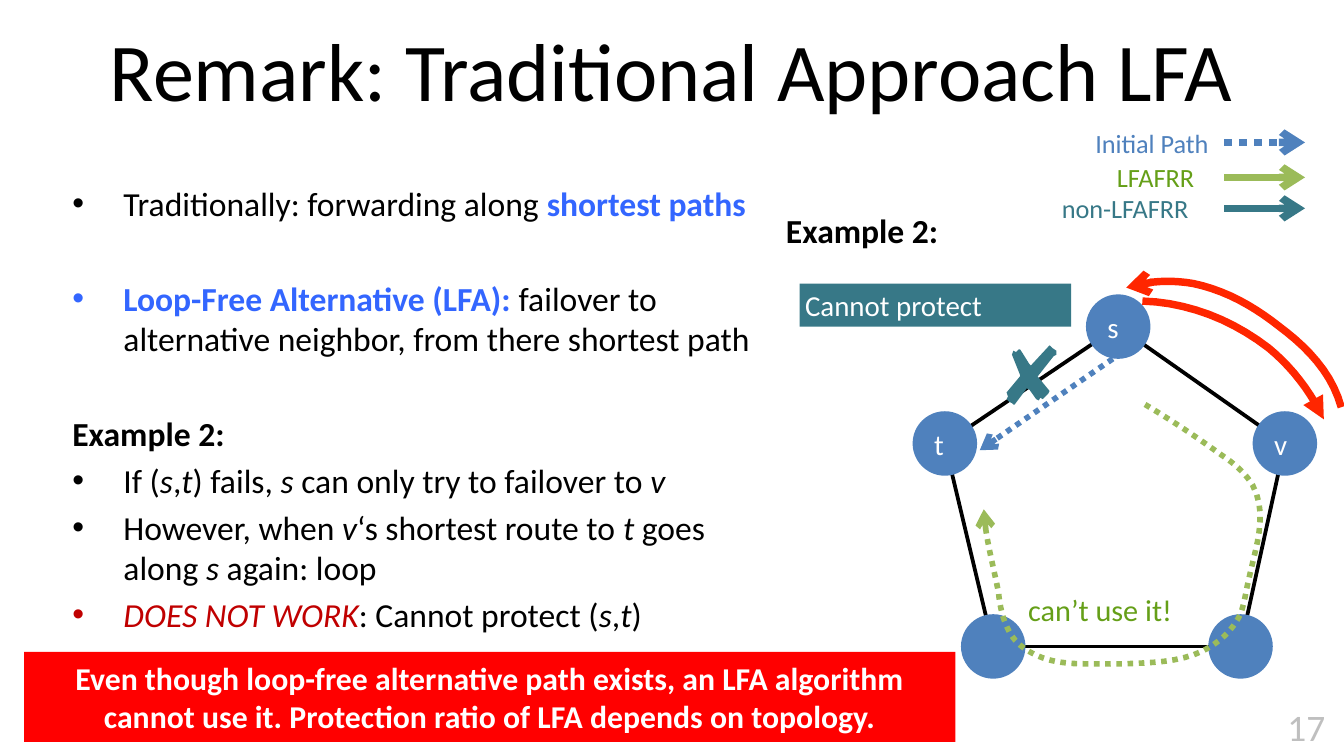
import pptx
import pptx.dml.color
import pptx.enum.dml
import pptx.enum.shapes
import pptx.enum.text
import pptx.oxml
import pptx.oxml.ns
import pptx.util
from pptx.util import Inches

ANCHOR = pptx.enum.text.MSO_ANCHOR
ALIGN = pptx.enum.text.PP_ALIGN
SHAPE = pptx.enum.shapes.MSO_SHAPE
BLACK, WHITE, BLUE, TEAL = "000000", "FFFFFF", "4F81BD", "377887"
GREEN, DARK_GREEN, RED = "9BBB59", "659F18", "FF2600"
LINK_BLUE, DARK_RED = "3366FF", "C00000"
NODE_SIZE = 0.48
NODES = {"s": (8.32, 2.43), "v": (9.56, 3.3), "right": (9.23, 4.81),
         "left": (7.39, 4.81), "t": (7.03, 3.3)}
FORWARD_LOOP = [(8.5, 2.24), (8.84, 2.25), (9.17, 2.38), (9.44, 2.59),
                (9.61, 2.73), (9.75, 2.91), (9.85, 3.12)]
RETURN_LOOP = [(8.38, 2.14), (8.54, 2.09), (8.71, 2.08), (8.88, 2.11),
               (9.12, 2.16), (9.33, 2.28), (9.52, 2.43),
               (9.72, 2.58), (9.91, 2.77), (9.98, 3.03)]
DETOUR = [(8.52, 3.01), (8.72, 3.13), (8.9, 3.25), (9.08, 3.38),
          (9.17, 3.44), (9.26, 3.51), (9.32, 3.61),
          (9.44, 3.83), (9.34, 4.08), (9.29, 4.32),
          (9.27, 4.4), (9.26, 4.49), (9.23, 4.57),
          (9.19, 4.65), (9.14, 4.71), (9.08, 4.76),
          (8.88, 4.93), (8.61, 4.93), (8.36, 4.94),
          (8.27, 4.94), (8.18, 4.94), (8.08, 4.94),
          (7.96, 4.94), (7.83, 4.93), (7.72, 4.88),
          (7.63, 4.84), (7.55, 4.78), (7.51, 4.7),
          (7.46, 4.61), (7.44, 4.51), (7.43, 4.41),
          (7.39, 4.2), (7.33, 4), (7.32, 3.79)]
CROSS = [(7.81, 2.57), (7.8, 2.58), (7.68, 2.71), (7.67, 2.72), (7.66, 2.71),
         (7.61, 2.63), (7.59, 2.6), (7.58, 2.6), (7.56, 2.62), (7.54, 2.61),
         (7.53, 2.64), (7.59, 2.79), (7.59, 2.8), (7.49, 2.92), (7.5, 2.95),
         (7.49, 2.97), (7.51, 2.99), (7.53, 3), (7.54, 3.01), (7.55, 3.01),
         (7.64, 2.89), (7.66, 2.9), (7.71, 2.97), (7.73, 2.98), (7.74, 2.96),
         (7.76, 2.97), (7.78, 2.95), (7.8, 2.93), (7.81, 2.91), (7.72, 2.8),
         (7.73, 2.79), (7.84, 2.65), (7.86, 2.64), (7.86, 2.61), (7.83, 2.59),
         (7.82, 2.58)]


def rgb(color):
    return pptx.dml.color.RGBColor.from_string(color)


def add_element(parent, tag, **attributes):
    element = pptx.oxml.parse_xml(f"<a:{tag} {pptx.oxml.ns.nsdecls('a')}/>")
    for name, value in attributes.items():
        element.set(name, str(value))
    parent.append(element)


def set_font(font, size, color, bold=False):
    font.name, font.size, font.bold = "Calibri", pptx.util.Pt(size), bold
    font.color.rgb = rgb(color)


def set_frame(shape, anchor, insets):
    frame = shape.text_frame
    frame.word_wrap = True
    frame.vertical_anchor = anchor
    frame.margin_left, frame.margin_top, frame.margin_right, frame.margin_bottom = map(Inches, insets)
    return frame


def set_text(shape, text, size, color, bold=False, align=ALIGN.LEFT,
             anchor=ANCHOR.MIDDLE, insets=(0.04,) * 4):
    para = set_frame(shape, anchor, insets).paragraphs[0]
    para.alignment = align
    set_font(para.font, size, color, bold)
    para.add_run().text = text


def add_label(slide, place, text, size, color, **style):
    box = slide.shapes.add_textbox(*map(Inches, place))
    set_text(box, text, size, color, **style)


def add_block(slide, kind, place, fill):
    block = slide.shapes.add_shape(kind, *map(Inches, place))
    block.shadow.inherit = False
    block.fill.solid()
    block.fill.fore_color.rgb = rgb(fill)
    block.line.fill.background()
    return block


def style_line(shape, color, width, dotted=False, **ends):
    shape.line.color.rgb = rgb(color)
    shape.line.width = pptx.util.Pt(width)
    if dotted:
        shape.line.dash_style = pptx.enum.dml.MSO_LINE.ROUND_DOT
    outline = shape._element.spPr.find(pptx.oxml.ns.qn("a:ln"))
    for end, head in ends.items():
        add_element(outline, end, type=head)


def add_line(slide, start, end, color, width, **style):
    line = slide.shapes.add_connector(pptx.enum.shapes.MSO_CONNECTOR.STRAIGHT,
                                      *map(Inches, (*start, *end)))
    style_line(line, color, width, **style)
    add_element(line._element.spPr, "effectLst")


def add_outline(slide, points, close=False):
    first, *rest = [tuple(map(Inches, point)) for point in points]
    builder = slide.shapes.build_freeform(*first)
    builder.add_line_segments(rest, close=close)
    shape = builder.convert_to_shape()
    shape.shadow.inherit = False
    return shape


def curve_points(controls, steps=10):
    points = [controls[0]]
    for index in range(0, len(controls) - 1, 3):
        corners = controls[index:index + 4]
        for step in range(1, steps + 1):
            t = step / steps
            weights = ((1 - t) ** 3, 3 * t * (1 - t) ** 2, 3 * t * t * (1 - t), t ** 3)
            points.append(tuple(sum(w * c[axis] for w, c in zip(weights, corners))
                                for axis in (0, 1)))
    return points


def add_curve(slide, controls, color, width, **style):
    curve = add_outline(slide, curve_points(controls))
    curve.fill.background()
    style_line(curve, color, width, **style)


def italic_spans(text):
    return [(part, None, index % 2 == 1) for index, part in enumerate(text.split("*"))]


def add_body(slide):
    rows = [
        (0, True, False, [("Traditionally: forwarding along ", None, False),
                          ("shortest paths", LINK_BLUE, False)]),
        (29.2, True, False, [("Loop-Free Alternative (LFA): ", LINK_BLUE, False),
                             ("failover to alternative neighbor, from there shortest path", None, False)]),
        (29.2, False, True, italic_spans("Example 2:")),
        (3.6, True, False, italic_spans("If (*s*,*t*) fails, *s* can only try to failover to *v")),
        (3.6, True, False, italic_spans("However, when *v*‘s shortest route to *t* goes along *s* again: loop")),
        (3.6, True, False, [("DOES NOT WORK", DARK_RED, True),
                            *italic_spans(": Cannot protect (*s*,*t*)")]),
    ]
    box = slide.shapes.add_textbox(*map(Inches, (0.44, 1.31, 5.51, 3.84)))
    frame = set_frame(box, ANCHOR.TOP, (0.1, 0.05, 0.1, 0.05))
    for index, (space, bulleted, bold, spans) in enumerate(rows):
        para = frame.add_paragraph() if index else frame.paragraphs[0]
        para.space_before = pptx.util.Pt(space)
        if bulleted:
            properties = para._p.get_or_add_pPr()
            properties.set("marL", str(Inches(0.38)))
            properties.set("indent", str(-Inches(0.38)))
            add_element(properties, "buFont", typeface="Arial")
            add_element(properties, "buChar", char="•")
        set_font(para.font, 18, BLACK, bold)
        for text, color, italic in spans:
            if not text:
                continue
            span = para.add_run()
            span.text = text
            if italic:
                span.font.italic = True
            if color:
                span.font.color.rgb = rgb(color)
                span.font.bold = not italic


def add_legend(slide):
    entries = [("Initial Path", 8.11, 1.06, BLUE, BLUE, True),
               ("LFAFRR", 8.27, 1.32, GREEN, DARK_GREEN, False),
               ("non-LFAFRR", 7.86, 1.55, TEAL, TEAL, False)]
    for text, left, y, line_color, text_color, dotted in entries:
        add_line(slide, (9.11, y), (9.71, y), line_color, 4, dotted=dotted, tailEnd="arrow")
        add_label(slide, (left, y - 0.16, 9.11 - left, 0.32), text, 14.1, text_color)


def add_network(slide):
    names = list(NODES)
    for name, neighbor in zip(names, names[1:] + names[:1]):
        add_line(slide, NODES[name], NODES[neighbor], BLACK, 2)
    for name, (x, y) in NODES.items():
        node = add_block(slide, SHAPE.OVAL,
                         (x - NODE_SIZE / 2, y - NODE_SIZE / 2, NODE_SIZE, NODE_SIZE), BLUE)
        if len(name) == 1:
            set_text(node, name, 15.5, WHITE, insets=(0.09, 0.04, 0.04, 0.04))
    cross = add_outline(slide, CROSS, close=True)
    cross.fill.solid()
    cross.fill.fore_color.rgb = rgb(TEAL)
    cross.line.fill.background()
    add_curve(slide, FORWARD_LOOP, RED, 4, tailEnd="triangle")
    add_curve(slide, RETURN_LOOP, RED, 4, headEnd="arrow")
    add_line(slide, (8.28, 2.67), (7.29, 3.35), BLUE, 3, dotted=True, tailEnd="arrow")
    note = add_block(slide, SHAPE.RECTANGLE, (5.95, 2.11, 2.02, 0.32), TEAL)
    set_text(note, "Cannot protect", 15.5, WHITE)
    add_curve(slide, DETOUR, GREEN, 3, dotted=True, tailEnd="arrow")
    add_label(slide, (7.61, 4.36, 1.51, 0.35), "can’t use it!", 16.2, DARK_GREEN)


def main():
    deck = pptx.Presentation()
    deck.slide_width = Inches(10)
    deck.slide_height = deck.slide_width * 9 // 16
    slide = deck.slides.add_slide(deck.slide_layouts[6])
    insets = (0.1, 0.05, 0.1, 0.05)
    add_body(slide)
    add_label(slide, (5.75, 1.51, 2.1, 0.6), "Example 2:", 18, BLACK,
              bold=True, anchor=ANCHOR.TOP, insets=insets)
    add_legend(slide)
    add_network(slide)
    banner = add_block(slide, SHAPE.RECTANGLE, (0.18, 4.85, 6.93, 0.67), "FF0000")
    set_text(banner, "Even though loop-free alternative path exists, an LFA algorithm "
             "cannot use it. Protection ratio of LFA depends on topology.", 17, WHITE,
             bold=True, align=ALIGN.CENTER, anchor=ANCHOR.TOP, insets=insets)
    add_label(slide, (0.5, 0.04, 9, 0.94), "Remark: Traditional Approach LFA", 44, BLACK,
              align=ALIGN.CENTER, insets=insets)
    add_label(slide, (9.53, 5.19, 0.44, 0.44), "17", 20, "BFBFBF",
              anchor=ANCHOR.TOP, insets=(0.05,) * 4)
    deck.save("out.pptx")


if __name__ == "__main__":
    main()
